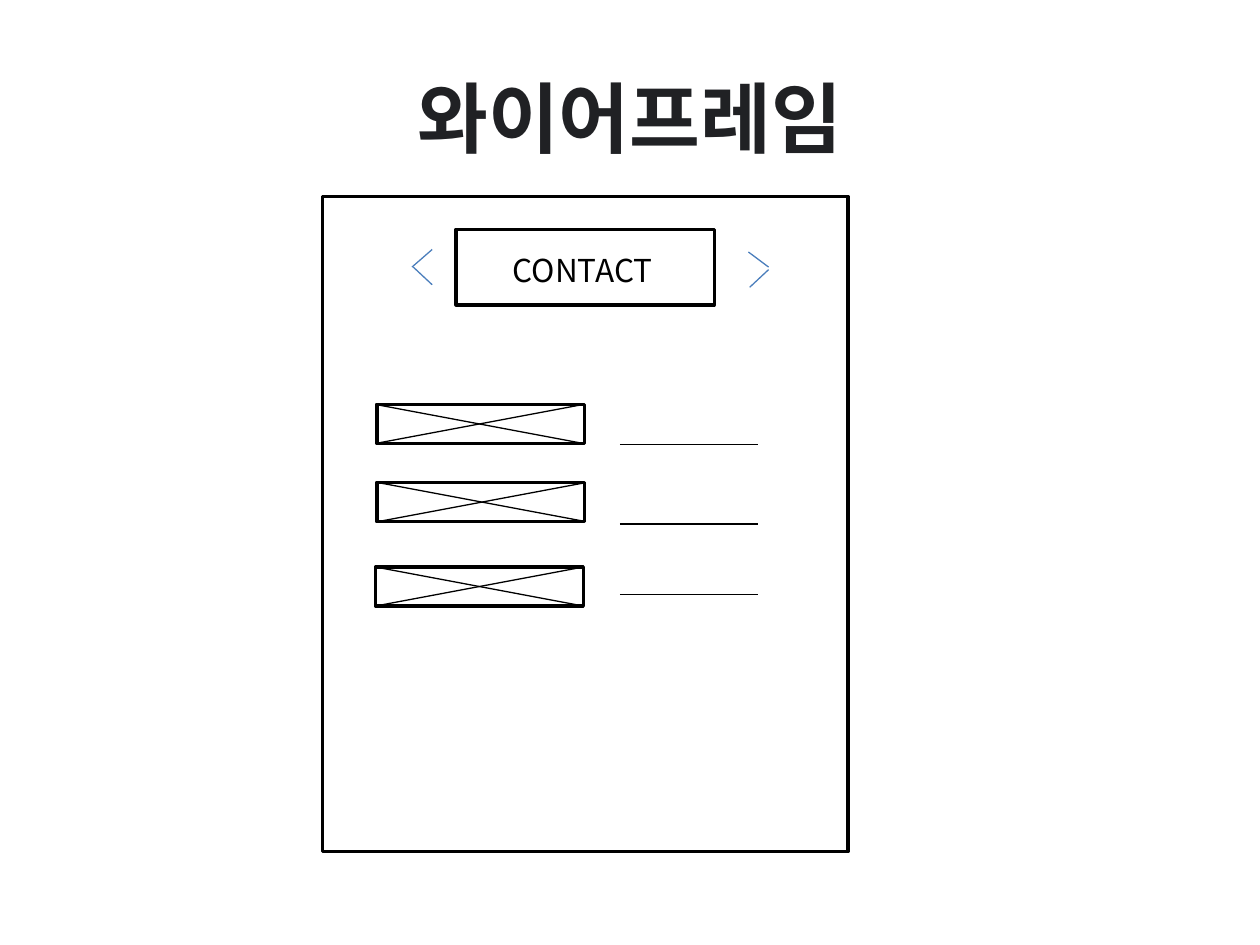
from dataclasses import dataclass

from pptx import Presentation
from pptx import util as u
from pptx.dml.color import RGBColor
from pptx.enum import shapes, text
from pptx.oxml import xmlchemy
from pptx.slide import Slide


@dataclass(frozen=True)
class Theme:
    ink: str = "000000"
    title: str = "202124"
    arrow: str = "4B7EBC"
    title_font: str = "Roboto"
    label_font: str = "Noto Sans CJK KR"
    title_size: float = 44
    label_size: float = 18
    frame_line: float = 2
    thin_line: float = 0.75


@dataclass(frozen=True)
class Area:
    left: float
    top: float
    width: float
    height: float

    def lengths(self) -> list[u.Length]:
        return [u.Inches(n) for n in (self.left, self.top, self.width, self.height)]


@dataclass(frozen=True)
class Stroke:
    x1: float
    y1: float
    x2: float
    y2: float


@dataclass(frozen=True)
class ContactRow:
    left: float
    top: float
    cross_left: float
    rule_y: float


THEME = Theme()
ICON_WIDTH, ICON_HEIGHT = 1.65, 0.31
RULE_LEFT, RULE_RIGHT = 4.92, 6.02

TITLE = Area(0.5, 0.3, 9, 1.25)
LABEL = Area(3.97, 1.94, 1.32, 0.4)
FRAMES = [Area(2.56, 1.56, 4.17, 5.2), Area(3.62, 1.82, 2.05, 0.6)]
ROWS = [
    ContactRow(2.99, 3.21, 2.98, 3.53),
    ContactRow(2.99, 3.83, 3.0, 4.16),
    ContactRow(2.98, 4.5, 2.98, 4.72),
]
CHEVRONS = [
    Stroke(3.43, 1.98, 3.27, 2.12),
    Stroke(3.43, 2.26, 3.28, 2.12),
    Stroke(5.94, 2.0, 6.1, 2.12),
    Stroke(5.95, 2.28, 6.1, 2.14),
]


def draw_frame(slide: Slide, area: Area) -> None:
    frame = slide.shapes.add_shape(shapes.MSO_SHAPE.RECTANGLE, *area.lengths())
    frame.shadow.inherit = False
    frame.fill.background()
    frame.line.color.rgb = RGBColor.from_string(THEME.ink)
    frame.line.width = u.Pt(THEME.frame_line)


def draw_stroke(slide: Slide, stroke: Stroke, color: str = THEME.ink) -> None:
    ends = [u.Inches(n) for n in (stroke.x1, stroke.y1, stroke.x2, stroke.y2)]
    line = slide.shapes.add_connector(shapes.MSO_CONNECTOR.STRAIGHT, *ends)
    line.line.color.rgb = RGBColor.from_string(color)
    line.line.width = u.Pt(THEME.thin_line)
    properties = line._element.spPr
    properties.append(xmlchemy.OxmlElement("a:effectLst"))


def draw_row(slide: Slide, row: ContactRow) -> None:
    draw_frame(slide, Area(row.left, row.top, ICON_WIDTH, ICON_HEIGHT))
    right, bottom = row.cross_left + ICON_WIDTH, row.top + ICON_HEIGHT
    draw_stroke(slide, Stroke(row.cross_left, row.top, right, bottom))
    draw_stroke(slide, Stroke(row.cross_left, bottom, right, row.top))
    draw_stroke(slide, Stroke(RULE_LEFT, row.rule_y, RULE_RIGHT, row.rule_y))


def draw_text(slide: Slide, area: Area, words: str, font: str, size: float,
              color: str, bold: bool, wrap: bool, align: text.PP_ALIGN,
              anchor: text.MSO_ANCHOR) -> None:
    box = slide.shapes.add_textbox(*area.lengths())
    box.text_frame.word_wrap = wrap
    box.text_frame.vertical_anchor = anchor
    para = box.text_frame.paragraphs[0]
    para.text = words
    para.alignment = align
    para.font.name = font
    para.font.size = u.Pt(size)
    para.font.bold = bold
    para.font.color.rgb = RGBColor.from_string(color)


def main() -> None:
    deck = Presentation()
    deck.slide_width, deck.slide_height = u.Inches(10), u.Inches(7.5)
    slide = deck.slides.add_slide(deck.slide_layouts[6])

    draw_text(slide, TITLE, "와이어프레임", THEME.title_font, THEME.title_size,
              THEME.title, True, True, text.PP_ALIGN.CENTER, text.MSO_ANCHOR.MIDDLE)
    for area in FRAMES:
        draw_frame(slide, area)
    for stroke in CHEVRONS:
        draw_stroke(slide, stroke, THEME.arrow)
    for row in ROWS:
        draw_row(slide, row)
    draw_text(slide, LABEL, "CONTACT", THEME.label_font, THEME.label_size,
              THEME.ink, False, False, text.PP_ALIGN.LEFT, text.MSO_ANCHOR.TOP)

    deck.save("out.pptx")


if __name__ == "__main__":
    main()
